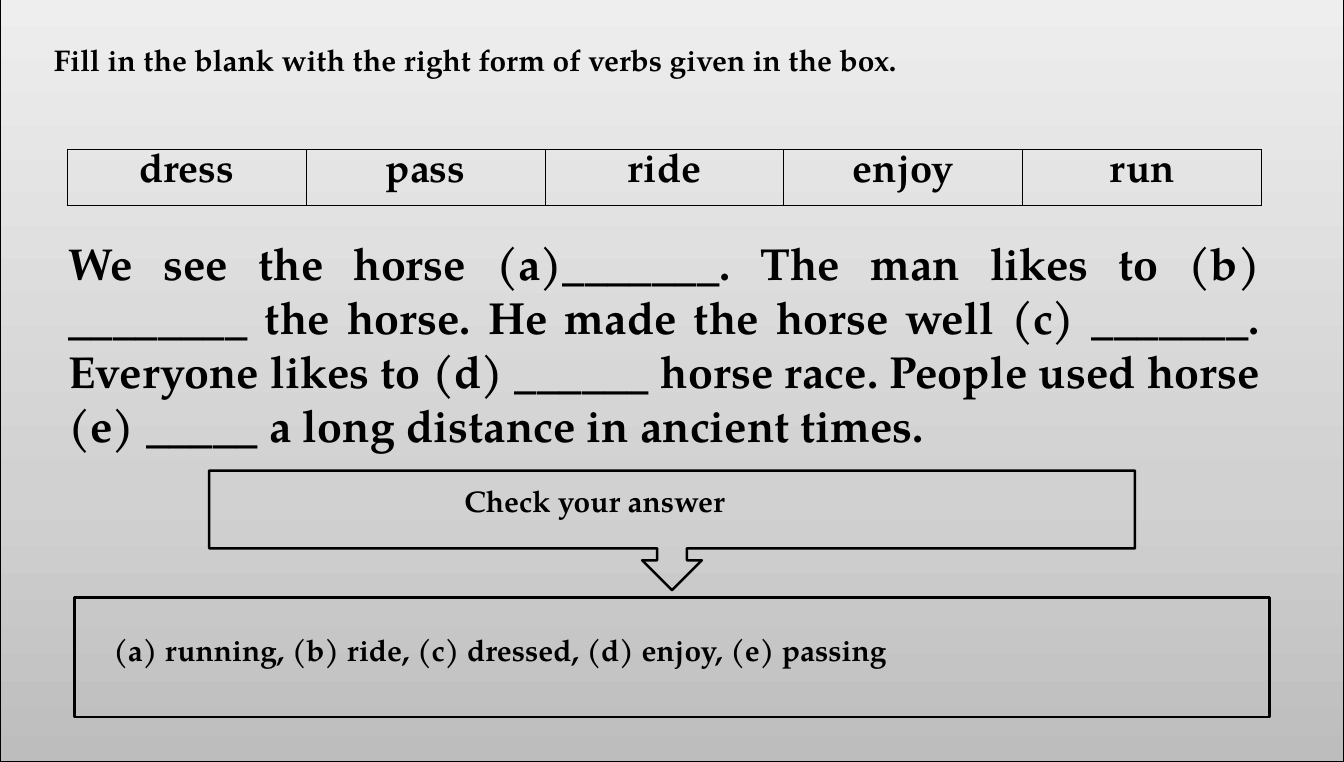
"""Build a fill-in-the-blank verb exercise slide with a word box and its answers."""
import copy

import pptx
import pptx.dml.color
import pptx.enum.shapes
import pptx.enum.text
import pptx.oxml
import pptx.oxml.ns
import pptx.util

PX = 9525
FONT = "TeX Gyre Pagella"
BLACK = "000000"
ALIGN = pptx.enum.text.PP_ALIGN
SHAPE = pptx.enum.shapes.MSO_SHAPE


def color(value):
    return pptx.dml.color.RGBColor.from_string(value)


def write(text_frame, text, size, alignment=ALIGN.LEFT):
    text_frame.text = text
    text_frame.word_wrap = True
    text_frame.auto_size = pptx.enum.text.MSO_AUTO_SIZE.NONE
    text_frame.vertical_anchor = pptx.enum.text.MSO_ANCHOR.TOP
    paragraph = text_frame.paragraphs[0]
    paragraph.alignment = alignment
    font = paragraph.runs[0].font
    font.name = FONT
    font.size = pptx.util.Pt(size)
    font.bold = True
    font.color.rgb = color(BLACK)


presentation = pptx.Presentation()
presentation.slide_width = 1440 * PX
presentation.slide_height = 816 * PX
slide = presentation.slides.add_slide(presentation.slide_layouts[5])

backdrop = slide.shapes.add_shape(SHAPE.RECTANGLE, 0, -8 * PX, 1440 * PX, 824 * PX)
slide.shapes._spTree.insert(2, backdrop._element)
backdrop.shadow.inherit = False
backdrop.line.color.rgb = color(BLACK)
backdrop.line.width = pptx.util.Pt(0.75)
backdrop.fill.gradient()
backdrop.fill.gradient_angle = 90
stop_list = backdrop._element.spPr.find(".//" + pptx.oxml.ns.qn("a:gsLst"))
stop_list.append(copy.deepcopy(stop_list[-1]))
gradient = [(0, "BDBDBD"), (0.35, "D1D1D1"), (1, "EEEEEE")]
for stop, (position, shade) in zip(backdrop.fill.gradient_stops, gradient):
    stop.position = position
    stop.color.rgb = color(shade)

title = slide.shapes.title
title.left, title.top, title.width, title.height = 48 * PX, 40 * PX, 1336 * PX, 64 * PX
write(title.text_frame, "Fill in the blank with the right form of verbs given in the box.", 24)

passage = slide.shapes.add_textbox(64 * PX, 248 * PX, 1296 * PX, 242 * PX)
write(
    passage.text_frame,
    "We see the horse (a)_______. The man likes to (b) ________ the horse. "
    "He made the horse well (c) _______. Everyone likes to (d) ______ horse race. "
    "People used horse (e) _____ a long distance in ancient times.",
    36,
    ALIGN.JUSTIFY,
)

verbs = ["dress", "pass", "ride", "enjoy", "run"]
table = slide.shapes.add_table(1, len(verbs), 72 * PX, 160 * PX, 1280 * PX, 60 * PX).table
table.first_row = False
table.horz_banding = False
for cell, verb in zip(table.iter_cells(), verbs):
    write(cell.text_frame, verb, 32, ALIGN.CENTER)
    cell.fill.background()
    properties = cell._tc.get_or_add_tcPr()
    for index, side in enumerate(["lnL", "lnR", "lnT", "lnB"]):
        border = pptx.oxml.parse_xml(
            f'<a:{side} {pptx.oxml.ns.nsdecls("a")} w="12700"><a:solidFill>'
            f'<a:srgbClr val="{BLACK}"/></a:solidFill></a:{side}>'
        )
        properties.insert(index, border)

panels = [
    (SHAPE.RECTANGLE, (80, 640, 1280, 128), (112, 672, 1216, 64),
     "(a) running, (b) ride, (c) dressed, (d) enjoy, (e) passing"),
    (SHAPE.DOWN_ARROW_CALLOUT, (224, 504, 992, 128), (488, 512, 520, 72),
     "Check your answer"),
]
for kind, frame_box, label_box, text in panels:
    group = slide.shapes.add_group_shape()
    frame = group.shapes.add_shape(kind, *[value * PX for value in frame_box])
    frame.shadow.inherit = False
    frame.fill.background()
    frame.line.color.rgb = color(BLACK)
    frame.line.width = pptx.util.Pt(2)
    label = group.shapes.add_textbox(*[value * PX for value in label_box])
    write(label.text_frame, text, 24)

presentation.save("out.pptx")
